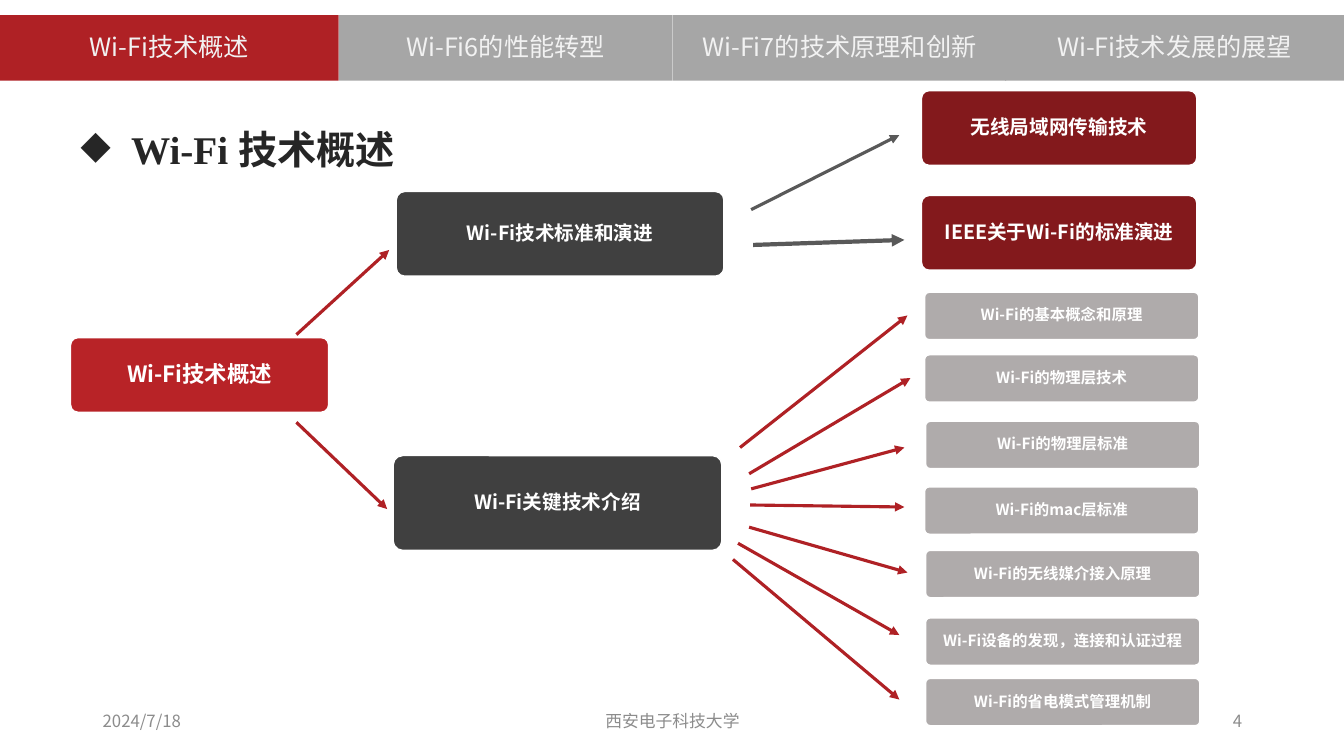
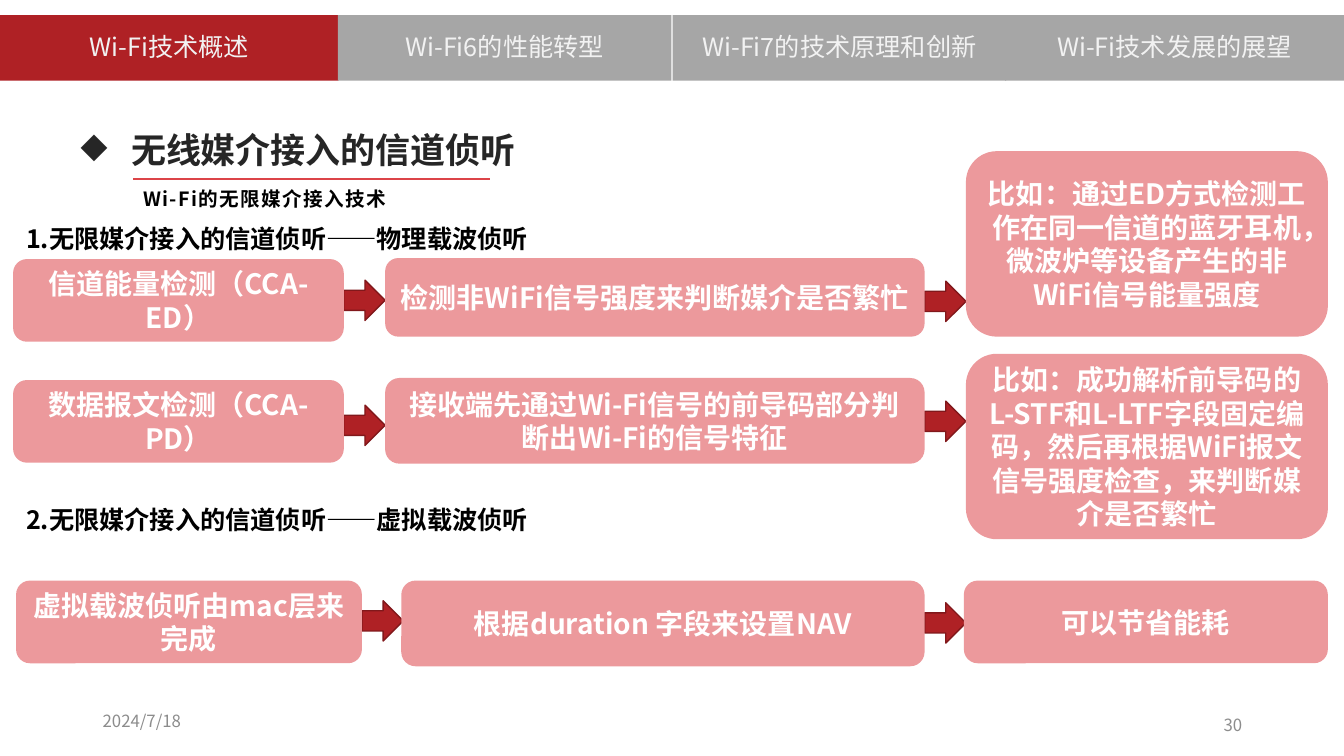
from dataclasses import dataclass

from lxml.etree import SubElement
from pptx import Presentation
from pptx.dml.color import RGBColor
from pptx.enum.shapes import MSO_CONNECTOR, MSO_SHAPE
from pptx.enum.text import MSO_ANCHOR, MSO_AUTO_SIZE, PP_ALIGN
from pptx.oxml.ns import qn
from pptx.util import Inches, Pt


@dataclass(frozen=True)
class Theme:
    # Fonts
    sans: str = "Noto Sans CJK SC"
    serif: str = "Times New Roman"
    # Colours
    red: str = "AF2125"
    root_red: str = "B82327"
    dark_red: str = "83191C"
    arrow_edge: str = "81181B"
    rule_red: str = "DC4448"
    pink: str = "EC999C"
    charcoal: str = "404040"
    link_gray: str = "595959"
    tab_gray: str = "A6A6A6"
    leaf_gray: str = "AFABAB"
    title_ink: str = "262626"
    tab_ink: str = "F2F2F2"
    footer_ink: str = "8C8C8C"
    black: str = "000000"
    white: str = "FFFFFF"
    # Type sizes in points
    title: int = 28
    long_title: int = 25
    flow: int = 20
    heading: int = 18
    tab: int = 18
    root: int = 16
    branch: int = 14
    subtitle: int = 14
    footer: int = 12
    leaf: int = 11


THEME = Theme()
TABS = ("Wi-Fi技术概述", "Wi-Fi6的性能转型", "Wi-Fi7的技术原理和创新", "Wi-Fi技术发展的展望")


class SlideBuilder:
    """Holds the deck, its style and the slide being filled."""

    def __init__(self, theme):
        self.theme = theme
        self.deck = Presentation()
        self.deck.slide_width = Inches(13.33)
        self.deck.slide_height = Inches(7.5)
        self.page = None

    def new_page(self, title, size, width, second_tab):
        self.page = self.deck.slides.add_slide(self.deck.slide_layouts[5])
        self.title(title, size, width)
        self.tab_bar(second_tab)

    # Text
    def set_text(self, shape, text, size, color, bold=False, font=None,
                 align=PP_ALIGN.LEFT, anchor=MSO_ANCHOR.MIDDLE, spacing=None,
                 inset=None, tracking=None):
        frame = shape.text_frame
        frame_format = {"word_wrap": True, "auto_size": MSO_AUTO_SIZE.NONE,
                        "vertical_anchor": anchor}
        if inset is not None:
            for side in ("left", "right", "top", "bottom"):
                frame_format[f"margin_{side}"] = Inches(inset)
        for name, value in frame_format.items():
            setattr(frame, name, value)

        para = frame.paragraphs[0]
        para_format = {"alignment": align, "line_spacing": spacing,
                       "space_before": Pt(0)}
        for name, value in para_format.items():
            setattr(para, name, value)

        span = para.add_run()
        span.text = text
        span.font.color.rgb = RGBColor.from_string(color)
        span_format = {"size": Pt(size), "bold": bold,
                       "name": font or self.theme.sans}
        for name, value in span_format.items():
            setattr(span.font, name, value)
        properties = span.font._element
        SubElement(properties, qn("a:ea"), typeface=self.theme.sans)
        if tracking:
            properties.set("spc", str(tracking * 100))
        return para

    def title(self, text, size, width):
        box = self.page.shapes.title
        place = {"left": 0.7, "top": 1.22, "width": width, "height": 0.57}
        for name, value in place.items():
            setattr(box, name, Inches(value))
        para = self.set_text(box, text, size, self.theme.title_ink, bold=True,
                             font=self.theme.serif, spacing=0.9)
        properties = para._p.get_or_add_pPr()
        properties.set("marL", str(Inches(0.5)))
        properties.set("indent", str(Inches(-0.5)))
        SubElement(properties, qn("a:buChar"), char="◆")

    def text(self, at, text, size, color, **style):
        box = self.page.shapes.add_textbox(*map(Inches, at))
        self.set_text(box, text, size, color, **style)

    # Shapes
    def shape(self, kind, at, fill, line=None):
        shape = self.page.shapes.add_shape(kind, *map(Inches, at))
        shape.shadow.inherit = False
        shape.fill.solid()
        shape.fill.fore_color.rgb = RGBColor.from_string(fill)
        if line:
            shape.line.color.rgb = RGBColor.from_string(line)
            shape.line.width = Pt(1)
        else:
            shape.line.fill.background()
        return shape

    def tab_bar(self, second_tab):
        places = ((0, 3.36), (second_tab, 3.31), (6.67, 3.31), (9.97, 3.36))
        for index, (label, (left, width)) in enumerate(zip(TABS, places)):
            fill = self.theme.tab_gray if index else self.theme.red
            tab = self.shape(MSO_SHAPE.RECTANGLE, (left, 0.15, width, 0.65), fill)
            self.set_text(tab, label, self.theme.tab, self.theme.tab_ink,
                          align=PP_ALIGN.CENTER, spacing=0.9)

    def node(self, at, text, size, fill):
        box = self.shape(MSO_SHAPE.ROUNDED_RECTANGLE, at, fill, self.theme.white)
        box.adjustments[0] = 0.1
        self.set_text(box, text, size, self.theme.white, bold=True,
                      align=PP_ALIGN.CENTER, spacing=0.9, inset=0.03)

    def flow_box(self, at, text):
        box = self.shape(MSO_SHAPE.ROUNDED_RECTANGLE, at, self.theme.pink)
        self.set_text(box, text, self.theme.flow, self.theme.white, bold=True,
                      align=PP_ALIGN.CENTER)

    def block_arrow(self, left, top):
        self.shape(MSO_SHAPE.RIGHT_ARROW, (left, top, 0.41, 0.4),
                   self.theme.red, self.theme.arrow_edge)

    # Lines
    def line(self, start, end, color, width=2.25, arrow=True):
        line = self.page.shapes.add_connector(
            MSO_CONNECTOR.STRAIGHT, *map(Inches, start + end))
        line.line.color.rgb = RGBColor.from_string(color)
        line.line.width = Pt(width)
        if arrow:
            SubElement(line.line._get_or_add_ln(), qn("a:tailEnd"), type="triangle")
        SubElement(line._element.spPr, qn("a:effectLst"))

    # Footer
    def footer(self, number, number_top=6.95, school=None):
        ink, size = self.theme.footer_ink, self.theme.footer
        self.text((0.92, 6.95, 3, 0.4), "2024/7/18", size, ink)
        if school:
            self.text((4.42, 6.95, 4.5, 0.4), school, size, ink, align=PP_ALIGN.CENTER)
        self.text((9.42, number_top, 3, 0.4), number, size, ink, align=PP_ALIGN.RIGHT)


def overview_page(builder):
    theme = builder.theme
    builder.new_page("Wi-Fi 技术概述", theme.title, 11.5, second_tab=3.36)
    builder.footer("4", school="西安电子科技大学")

    # Root and its two branches
    builder.node((0.7, 3.35, 2.56, 0.74), "Wi-Fi技术概述", theme.root, theme.root_red)
    branches = (
        ((3.93, 1.9, 3.25, 0.84), "Wi-Fi技术标准和演进", (2.94, 3.32), (3.86, 2.48)),
        ((3.9, 4.52, 3.26, 0.94), "Wi-Fi关键技术介绍", (2.94, 4.19), (3.84, 5.05)),
    )
    for at, label, start, end in branches:
        builder.node(at, label, theme.branch, theme.charcoal)
        builder.line(start, end, theme.red)

    # Topics of the upper branch
    topics = (
        (0.9, "无线局域网传输技术", (7.45, 2.08), (8.92, 1.34), 2.25),
        (1.94, "IEEE关于Wi-Fi的标准演进", (7.47, 2.43), (8.97, 2.38), 3),
    )
    for top, label, start, end, width in topics:
        builder.node((9.14, top, 2.73, 0.74), label, theme.branch, theme.dark_red)
        builder.line(start, end, theme.link_gray, width)

    # Topics of the lower branch
    leaves = (
        (9.17, 2.9, "Wi-Fi的基本概念和原理", (7.34, 4.44), (9, 3.13)),
        (9.17, 3.52, "Wi-Fi的物理层技术", (7.43, 4.7), (9.03, 3.75)),
        (9.18, 4.18, "Wi-Fi的物理层标准", (7.45, 4.85), (8.97, 4.44)),
        (9.17, 4.83, "Wi-Fi的mac层标准", (7.44, 5.01), (8.97, 5.03)),
        (9.18, 5.46, "Wi-Fi的无线媒介接入原理", (7.43, 5.23), (9, 5.68)),
        (9.18, 6.13, "Wi-Fi设备的发现，连接和认证过程", (7.32, 5.39), (8.92, 6.3)),
        (9.18, 6.73, "Wi-Fi的省电模式管理机制", (7.27, 5.55), (8.92, 6.94)),
    )
    for left, top, label, start, end in leaves:
        builder.node((left, top, 2.72, 0.47), label, theme.leaf, theme.leaf_gray)
        builder.line(start, end, theme.red)


def sensing_page(builder):
    theme = builder.theme
    builder.new_page("无线媒介接入的信道侦听", theme.long_title, 4.99, second_tab=3.35)

    # Headings
    builder.line((1.32, 1.78), (4.86, 1.78), theme.rule_red, 1.5, arrow=False)
    builder.text((1.32, 1.74, 3.38, 0.38), "Wi-Fi的无限媒介接入技术", theme.subtitle,
                 theme.black, bold=True, align=PP_ALIGN.JUSTIFY,
                 anchor=MSO_ANCHOR.TOP, spacing=1.3, tracking=1)
    headings = ((2.17, "1.无限媒介接入的信道侦听——物理载波侦听"),
                (4.95, "2.无限媒介接入的信道侦听——虚拟载波侦听"))
    for top, heading in headings:
        builder.text((0.16, top, 5.35, 0.4), heading, theme.heading, theme.black,
                     bold=True, anchor=MSO_ANCHOR.TOP)

    # Each row: arrow tops, then the boxes from left to right
    rows = (
        ((2.78, 2.79), (
            ((0.13, 2.57, 3.28, 0.82), "信道能量检测（CCA-ED）"),
            ((3.82, 2.56, 5.35, 0.78), "检测非WiFi信号强度来判断媒介是否繁忙"),
            ((9.58, 1.5, 3.59, 1.84),
             "比如：通过ED方式检测工作在同一信道的蓝牙耳机，微波炉等设备产生的非WiFi信号能量强度"))),
        ((4.02, 3.98), (
            ((0.13, 3.77, 3.28, 0.82), "数据报文检测（CCA-PD）"),
            ((3.82, 3.75, 5.35, 0.85), "接收端先通过Wi-Fi信号的前导码部分判断出Wi-Fi的信号特征"),
            ((9.58, 3.51, 3.59, 1.84),
             "比如：成功解析前导码的L-STF和L-LTF字段固定编码，然后再根据WiFi报文信号强度检查，来判断媒介是否繁忙"))),
        ((5.96, 5.98), (
            ((0.16, 5.76, 3.43, 0.82), "虚拟载波侦听由mac层来完成"),
            ((3.98, 5.76, 5.19, 0.85), "根据duration 字段来设置NAV"),
            ((9.56, 5.76, 3.61, 0.82), "可以节省能耗"))),
    )
    for arrow_tops, boxes in rows:
        for arrow_top, (at, _) in zip(arrow_tops, boxes):
            left, width = at[0], at[2]
            builder.block_arrow(left + width, arrow_top)
        for at, label in boxes:
            builder.flow_box(at, label)
    builder.footer("30", number_top=6.99)


def main():
    builder = SlideBuilder(THEME)
    overview_page(builder)
    sensing_page(builder)
    builder.deck.save("out.pptx")


if __name__ == "__main__":
    main()
